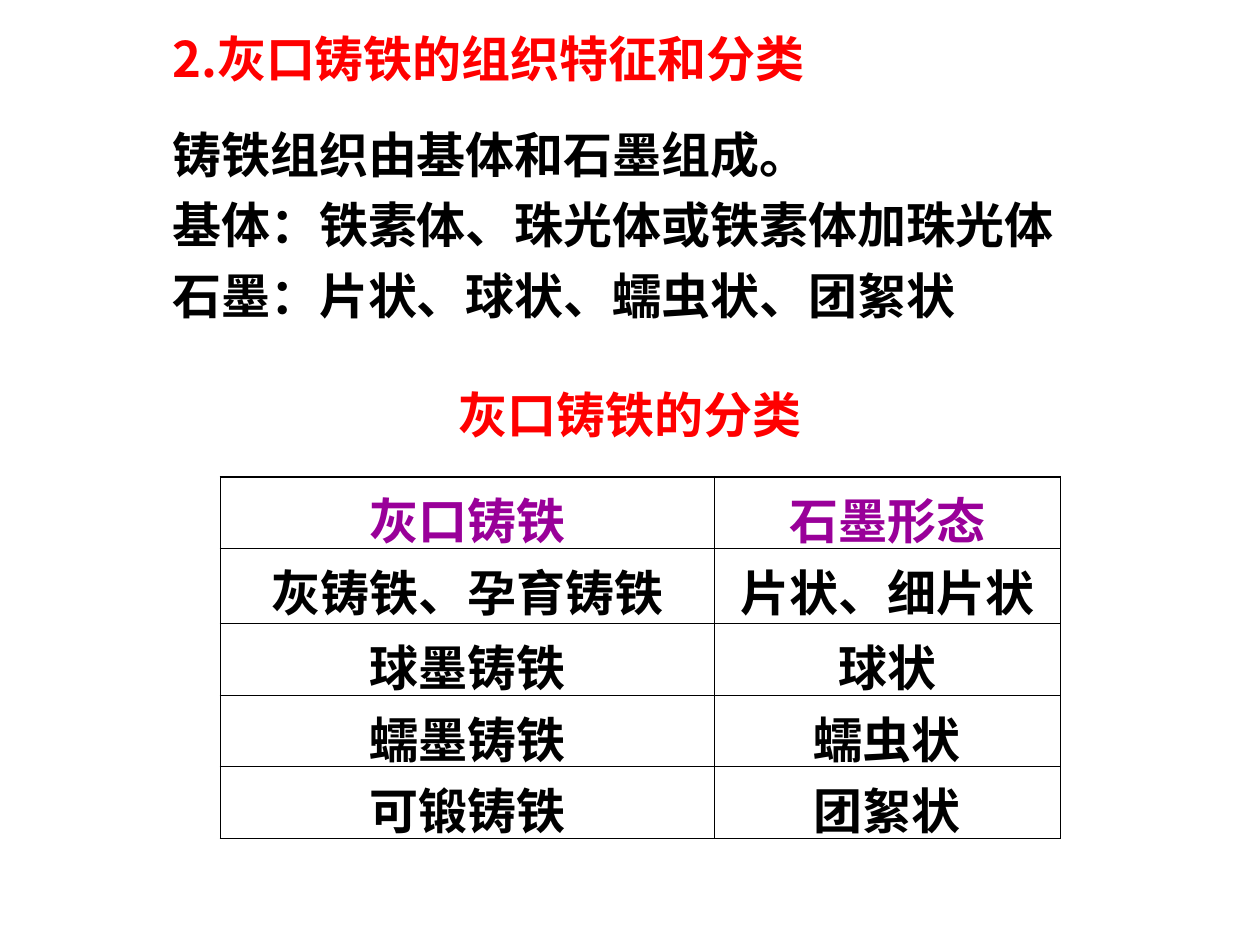
from dataclasses import dataclass

import pptx
import pptx.dml.color
import pptx.enum.text
import pptx.oxml
import pptx.oxml.ns
import pptx.util

Pt = pptx.util.Pt
RGB = pptx.dml.color.RGBColor
Align = pptx.enum.text.PP_ALIGN


@dataclass(frozen=True)
class Theme:
    font: str = "Noto Sans CJK SC"
    size: float = 28
    title: str = "FF0000"
    header: str = "990099"
    body: str = "000000"
    border: str = "000000"
    outer_line: float = 1.08
    inner_line: float = 0.45


@dataclass(frozen=True)
class Line:
    text: str
    color: str
    space_before: float = 0


@dataclass(frozen=True)
class TextBlock:
    left: float
    top: float
    width: float
    height: float
    lines: tuple[Line, ...]
    alignment: Align = Align.LEFT
    line_spacing: float = 1.0
    indent: float = 0


THEME = Theme()

TEXT_BLOCKS = (
    TextBlock(
        66, 6, 600, 223,
        (
            Line("2.灰口铸铁的组织特征和分类", THEME.title),
            Line("铸铁组织由基体和石墨组成。", THEME.body, 14.4),
            Line("基体：铁素体、珠光体或铁素体加珠光体", THEME.body),
            Line("石墨：片状、球状、蠕虫状、团絮状", THEME.body),
        ),
        line_spacing=1.2,
        indent=25.4,
    ),
    TextBlock(198, 216, 324, 41, (Line("灰口铸铁的分类", THEME.title),), Align.CENTER),
)

TABLE_LEFT, TABLE_TOP = 126, 272.4
COLUMN_WIDTHS = (282, 198)
ROW_HEIGHTS = (41, 42.8, 41, 41, 41)
TABLE_ROWS = (
    ("灰口铸铁", "石墨形态"),
    ("灰铸铁、孕育铸铁", "片状、细片状"),
    ("球墨铸铁", "球状"),
    ("蠕墨铸铁", "蠕虫状"),
    ("可锻铸铁", "团絮状"),
)


def style_paragraph(paragraph, text: str, color: str, alignment: Align) -> None:
    paragraph.text = text
    paragraph.alignment = alignment
    font = paragraph.font
    font.name = THEME.font
    font.size = Pt(THEME.size)
    font.bold = True
    font.color.rgb = RGB.from_string(color)


def add_text_block(slide, block: TextBlock) -> None:
    shape = slide.shapes.add_textbox(
        Pt(block.left), Pt(block.top), Pt(block.width), Pt(block.height)
    )
    frame = shape.text_frame
    frame.word_wrap = True
    for index, line in enumerate(block.lines):
        paragraph = frame.add_paragraph() if index else frame.paragraphs[0]
        style_paragraph(paragraph, line.text, line.color, block.alignment)
        paragraph.line_spacing = block.line_spacing
        if line.space_before:
            paragraph.space_before = Pt(line.space_before)
        if block.indent:
            paragraph._p.get_or_add_pPr().set("marL", str(Pt(block.indent)))


def set_borders(cell, outer_sides: dict[str, bool]) -> None:
    """Draw the four sides, thicker where a side lies on the table's edge."""
    properties = cell._tc.get_or_add_tcPr()
    for position, (side, is_outer) in enumerate(outer_sides.items()):
        width = Pt(THEME.outer_line if is_outer else THEME.inner_line)
        border = pptx.oxml.parse_xml(
            f'<a:ln{side} {pptx.oxml.ns.nsdecls("a")} w="{width}">'
            f'<a:solidFill><a:srgbClr val="{THEME.border}"/></a:solidFill>'
            f"</a:ln{side}>"
        )
        properties.insert(position, border)


def add_classification_table(slide) -> None:
    row_count, column_count = len(TABLE_ROWS), len(COLUMN_WIDTHS)
    table = slide.shapes.add_table(
        row_count, column_count, Pt(TABLE_LEFT), Pt(TABLE_TOP),
        Pt(sum(COLUMN_WIDTHS)), Pt(sum(ROW_HEIGHTS)),
    ).table
    table.first_row = False
    table.horz_banding = False
    for column, width in zip(table.columns, COLUMN_WIDTHS):
        column.width = Pt(width)
    for row, height in zip(table.rows, ROW_HEIGHTS):
        row.height = Pt(height)
    for row_index, texts in enumerate(TABLE_ROWS):
        color = THEME.body if row_index else THEME.header
        for column_index, text in enumerate(texts):
            cell = table.cell(row_index, column_index)
            cell.fill.background()
            style_paragraph(cell.text_frame.paragraphs[0], text, color, Align.CENTER)
            set_borders(cell, {
                "L": column_index == 0,
                "R": column_index == column_count - 1,
                "T": row_index == 0,
                "B": row_index == row_count - 1,
            })


def main() -> None:
    presentation = pptx.Presentation()
    presentation.slide_width = Pt(720)
    presentation.slide_height = Pt(540)
    slide = presentation.slides.add_slide(presentation.slide_layouts[6])
    for block in TEXT_BLOCKS:
        add_text_block(slide, block)
    add_classification_table(slide)
    presentation.save("out.pptx")


if __name__ == "__main__":
    main()
